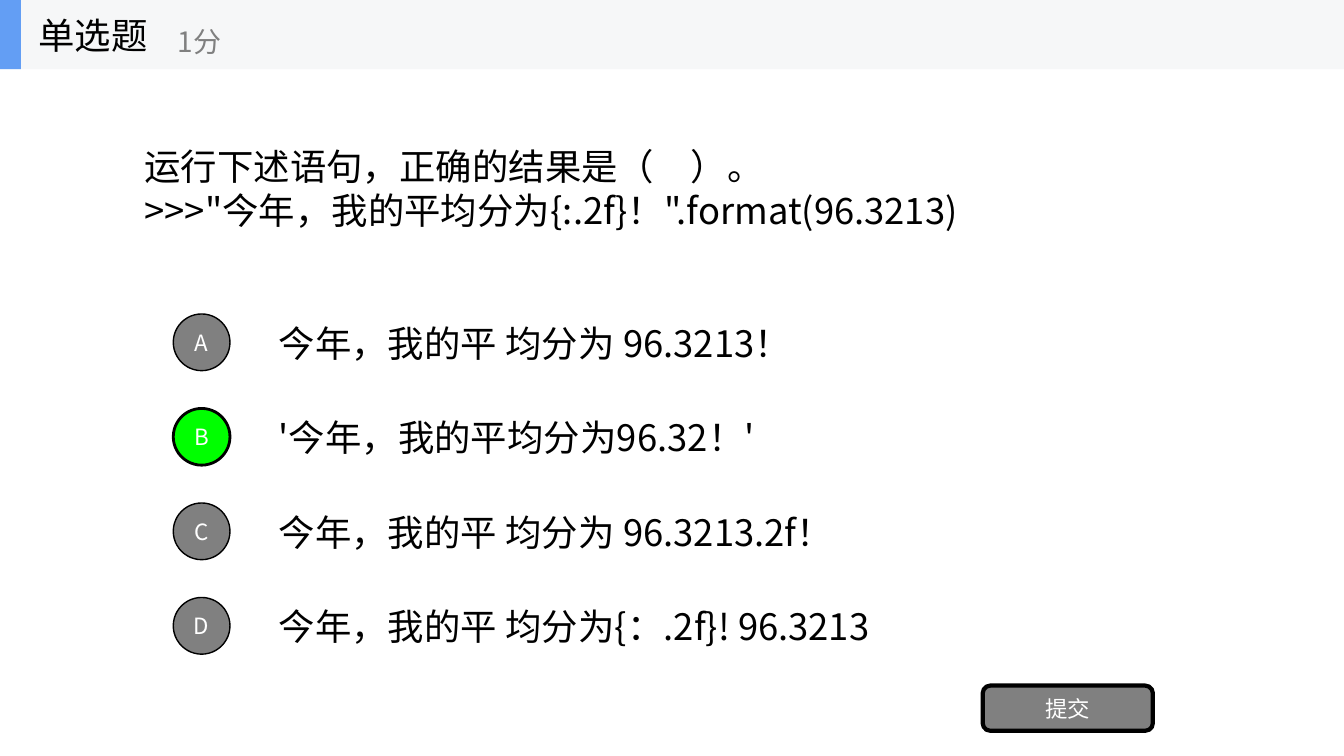
from dataclasses import dataclass

from pptx import Presentation
from pptx.dml import color
from pptx.enum import shapes, text
from pptx.oxml import xmlchemy
from pptx.shapes import autoshape, shapetree
from pptx.util import Pt

EMU_PER_PX = 9525
SLIDE_WIDTH, SLIDE_HEIGHT = 1280, 720
HEADER_HEIGHT = 66
OPTION_TOP, OPTION_PITCH, OPTION_HEIGHT = 293, 90, 67
BADGE_SIZE = 54
FONT = "Noto Sans CJK SC"
BLACK, GRAY, WHITE, GREEN = "000000", "808080", "FFFFFF", "00FF00"
Shapes = shapetree.SlideShapes | shapetree.GroupShapes


@dataclass
class Box:
    left: int
    top: int
    width: int
    height: int

    def emu(self) -> list[int]:
        return [v * EMU_PER_PX for v in (self.left, self.top, self.width, self.height)]


@dataclass
class Option:
    letter: str
    answer: str
    correct: bool = False


OPTIONS = [
    Option("A", "今年，我的平 均分为 96.3213！"),
    Option("B", "'今年，我的平均分为96.32！'", correct=True),
    Option("C", "今年，我的平 均分为 96.3213.2f！"),
    Option("D", "今年，我的平 均分为{：.2f}! 96.3213"),
]
QUESTION = ["运行下述语句，正确的结果是（　）。",
            '>>>"今年，我的平均分为{:.2f}！".format(96.3213)']


def rgb(value: str) -> color.RGBColor:
    return color.RGBColor.from_string(value)


def write(shape: autoshape.Shape, lines: list[str], size: int = 26, ink: str = BLACK,
          align: text.PP_ALIGN = text.PP_ALIGN.LEFT) -> None:
    frame = shape.text_frame
    frame_format = {"word_wrap": True, "auto_size": text.MSO_AUTO_SIZE.NONE,
                    "vertical_anchor": text.MSO_ANCHOR.MIDDLE}
    for name, value in frame_format.items():
        setattr(frame, name, value)
    for index, line in enumerate(lines):
        paragraph = frame.add_paragraph() if index else frame.paragraphs[0]
        paragraph.alignment = align
        if len(lines) > 1:
            paragraph.line_spacing = Pt(31.5)
        run = paragraph.add_run()
        run.text = line
        for name, value in {"name": FONT, "size": Pt(size)}.items():
            setattr(run.font, name, value)
        run.font.color.rgb = rgb(ink)
        # East Asian characters take their own typeface entry
        east_asian = xmlchemy.OxmlElement("a:ea")
        east_asian.set("typeface", FONT)
        run._r.get_or_add_rPr().append(east_asian)


def add_label(parent: Shapes, box: Box, line: str, size: int = 26, ink: str = BLACK) -> None:
    write(parent.add_textbox(*box.emu()), [line], size, ink)


def add_block(parent: Shapes, kind: shapes.MSO_SHAPE, box: Box, fill: str,
              outline: int = 0, caption: str = "") -> None:
    shape = parent.add_shape(kind, *box.emu())
    shape.shadow.inherit = False
    shape.fill.solid()
    shape.fill.fore_color.rgb = rgb(fill)
    if outline:
        shape.line.color.rgb = rgb(BLACK)
        shape.line.width = Pt(outline)
    else:
        shape.line.fill.background()
    if caption:
        for side in ("left", "top", "right", "bottom"):
            setattr(shape.text_frame, f"margin_{side}", 0)
        write(shape, [caption], 16, WHITE, text.PP_ALIGN.CENTER)


def main() -> None:
    presentation = Presentation()
    presentation.slide_width = SLIDE_WIDTH * EMU_PER_PX
    presentation.slide_height = SLIDE_HEIGHT * EMU_PER_PX
    slide = presentation.slides.add_slide(presentation.slide_layouts[5])

    # Question
    question = slide.shapes.title
    question_box = Box(128, 66, 1024, 225)
    for name, value in zip(("left", "top", "width", "height"), question_box.emu()):
        setattr(question, name, value)
    write(question, QUESTION)

    # Answers, then their lettered badges
    tops = [OPTION_TOP + OPTION_PITCH * row for row in range(len(OPTIONS))]
    for top, option in zip(tops, OPTIONS):
        add_label(slide.shapes, Box(256, top, 896, OPTION_HEIGHT), option.answer)
    for top, option in zip(tops, OPTIONS):
        badge_top = top + (OPTION_HEIGHT - BADGE_SIZE) // 2
        add_block(slide.shapes, shapes.MSO_SHAPE.OVAL,
                  Box(165, badge_top, BADGE_SIZE, BADGE_SIZE),
                  GREEN if option.correct else GRAY,
                  2 if option.correct else 1, option.letter)

    # Submit button
    add_block(slide.shapes, shapes.MSO_SHAPE.ROUNDED_RECTANGLE,
              Box(936, 653, 162, 43), GRAY, 3, "提交")

    # Header band with question type and score
    header = slide.shapes.add_group_shape().shapes
    for width, fill in ((SLIDE_WIDTH, "F6F7F8"), (20, "639EF4")):
        add_block(header, shapes.MSO_SHAPE.RECTANGLE, Box(0, 0, width, HEADER_HEIGHT), fill)
    add_label(header, Box(27, 0, 200, HEADER_HEIGHT), "单选题")
    add_label(header, Box(160, 12, 240, 54), "1分", 20, GRAY)

    presentation.save("out.pptx")


if __name__ == "__main__":
    main()
